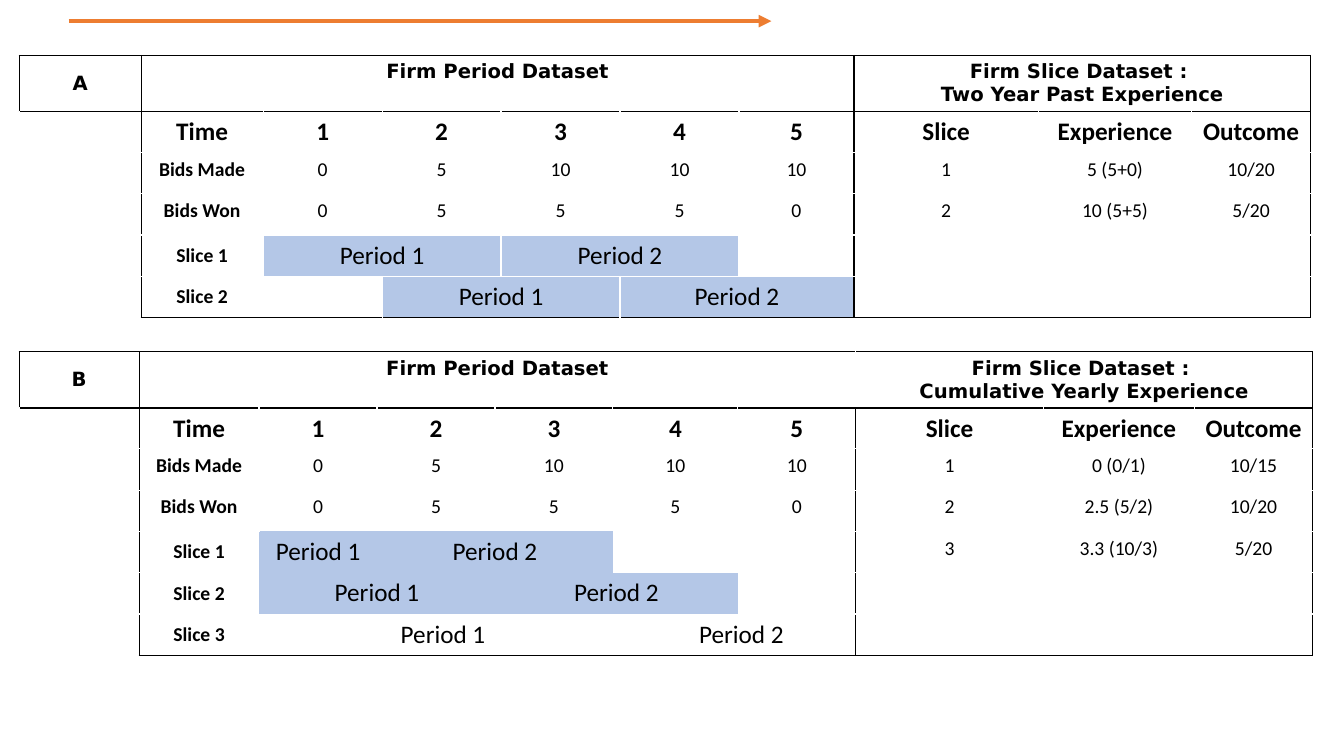
import dataclasses

import pptx
import pptx.dml.color
import pptx.enum.shapes
import pptx.enum.text
import pptx.oxml
import pptx.oxml.ns
import pptx.util
from pptx.util import Inches


@dataclasses.dataclass(frozen=True)
class Theme:
    black: str = "000000"
    white: str = "FFFFFF"
    band: str = "B4C7E7"
    arrow: str = "ED7D31"
    title_font: str = "DejaVu Sans"
    body_font: str = "Calibri"
    large: int = 18
    small: int = 14
    border: int = 1
    arrow_width: int = 3


THEME = Theme()

# Font, size and bold for each kind of cell
STYLES = {
    "title": (THEME.title_font, THEME.small, True),
    "heading": (THEME.body_font, THEME.large, True),
    "label": (THEME.body_font, THEME.small, True),
    "value": (THEME.body_font, THEME.small, False),
    "period": (THEME.body_font, THEME.large, False),
}


@dataclasses.dataclass
class Cell:
    text: str = ""
    style: str = "value"
    span: int = 1
    shaded: bool = False
    middle: bool = False


@dataclasses.dataclass
class Panel:
    top: float
    height: float
    columns: list
    split: int  # first column of the slice dataset
    rows: list
    open_seam: bool = False  # no black line between the two titles
    plain_periods: bool = False  # no inner lines around the periods


# Rows of cells
def title_row(letter, firm_span, experience):
    return [Cell(letter, "title", middle=True),
            Cell("Firm Period Dataset", "title", firm_span),
            Cell("Firm Slice Dataset : \n" + experience, "title", 3)]


def value_row(label, firm, slices, spans, style="value"):
    label_style = "heading" if style == "heading" else "label"
    return ([Cell(), Cell(label, label_style)]
            + [Cell(text, style, span) for text, span in zip(firm, spans)]
            + [Cell(text, style) for text in slices])


def period_row(label, periods, slices=("", "", "")):
    return ([Cell(), Cell(label, "label", middle=True)]
            + [Cell(text, "period", span, shaded) for text, span, shaded in periods]
            + [Cell(text) for text in slices])


def common_rows(spans, first_slice, second_slice):
    return [
        value_row("Time", "12345", ("Slice", "Experience", "Outcome"), spans, "heading"),
        value_row("Bids Made", ("0", "5", "10", "10", "10"), first_slice, spans),
        value_row("Bids Won", ("0", "5", "5", "5", "0"), second_slice, spans),
    ]


# Borders
def cell_edges(panel, item, row, first):
    """Colours of the left, right, top and bottom edges; None hides an edge."""
    last = first + item.span - 1
    black = THEME.black
    inner = None if panel.plain_periods and item.style == "period" else THEME.white
    if row == 0:
        seam = THEME.white if panel.open_seam else black
        return {"L": seam if first == panel.split else black,
                "R": seam if last == panel.split - 1 else black,
                "T": black, "B": black}
    in_block = first > 0
    is_left = first in (1, panel.split)
    is_right = last in (0, panel.split - 1, len(panel.columns) - 1)
    is_bottom = in_block and row == len(panel.rows) - 1
    return {"L": black if is_left else inner,
            "R": black if is_right else inner,
            "T": black if row == 1 else inner,
            "B": black if is_bottom else inner}


def set_borders(cell, edges):
    properties = cell._tc.get_or_add_tcPr()
    for side, color in edges.items():
        line = pptx.oxml.parse_xml(
            f'<a:ln{side} {pptx.oxml.ns.nsdecls("a")} w="{pptx.util.Pt(THEME.border)}"/>')
        fill = pptx.oxml.parse_xml(
            f'<a:noFill {pptx.oxml.ns.nsdecls("a")}/>' if color is None else
            f'<a:solidFill {pptx.oxml.ns.nsdecls("a")}><a:srgbClr val="{color}"/></a:solidFill>')
        line.append(fill)
        properties.append(line)


def set_fill(cell, shaded):
    if shaded:
        cell.fill.solid()
        cell.fill.fore_color.rgb = pptx.dml.color.RGBColor.from_string(THEME.band)
    else:
        cell.fill.background()


def write_text(cell, item):
    font_name, size, bold = STYLES[item.style]
    cell.text_frame.text = item.text
    anchors = pptx.enum.text.MSO_ANCHOR
    cell.vertical_anchor = anchors.MIDDLE if item.middle else anchors.TOP
    for paragraph in cell.text_frame.paragraphs:
        paragraph.alignment = pptx.enum.text.PP_ALIGN.CENTER
        for run in paragraph.runs:
            run.font.name = font_name
            run.font.size = pptx.util.Pt(size)
            run.font.bold = bold
            run.font.color.rgb = pptx.dml.color.RGBColor.from_string(THEME.black)


# Slide elements
def add_panel(slide, panel):
    frame = slide.shapes.add_table(
        len(panel.rows), len(panel.columns),
        Inches(0.19), Inches(panel.top), Inches(12.82), Inches(panel.height))
    table = frame.table
    table.first_row = False
    table.horz_banding = False
    for column, width in zip(table.columns, panel.columns):
        column.width = Inches(width)
    for row, items in enumerate(panel.rows):
        table.rows[row].height = Inches(0.26 if row < 2 else 0.41)
        first = 0
        for item in items:
            edges = cell_edges(panel, item, row, first)
            last = first + item.span - 1
            for column in range(first, last + 1):
                set_borders(table.cell(row, column), edges)
                set_fill(table.cell(row, column), item.shaded)
            cell = table.cell(row, first)
            if item.span > 1:
                cell.merge(table.cell(row, last))
            write_text(cell, item)
            first = last + 1
    frame.height = Inches(panel.height)


def add_time_arrow(slide):
    arrow = slide.shapes.add_connector(
        pptx.enum.shapes.MSO_CONNECTOR.STRAIGHT,
        Inches(0.68), Inches(0.21), Inches(7.65), Inches(0.21))
    arrow.line.color.rgb = pptx.dml.color.RGBColor.from_string(THEME.arrow)
    arrow.line.width = pptx.util.Pt(THEME.arrow_width)
    namespace = pptx.oxml.ns.nsdecls("a")
    arrow.line._get_or_add_ln().append(
        pptx.oxml.parse_xml(f'<a:tailEnd {namespace} type="triangle"/>'))
    arrow._element.spPr.append(pptx.oxml.parse_xml(f"<a:effectLst {namespace}/>"))


def main():
    presentation = pptx.Presentation()
    presentation.slide_width = Inches(13.33)
    presentation.slide_height = Inches(7.5)
    slide = presentation.slides.add_slide(presentation.slide_layouts[6])

    # Panel A: two-year experience
    add_panel(slide, Panel(
        0.55, 2.59, [1.21, 1.21] + [1.18] * 4 + [1.14, 1.83, 1.52, 1.18], 7,
        [title_row("A", 6, "Two Year Past Experience"),
         *common_rows((1, 1, 1, 1, 1), ("1", "5 (5+0)", "10/20"), ("2", "10 (5+5)", "5/20")),
         period_row("Slice 1", [("Period 1", 2, True), ("Period 2", 2, True), ("", 1, False)]),
         period_row("Slice 2", [("", 1, False), ("Period 1", 2, True), ("Period 2", 2, True)])]))

    add_time_arrow(slide)

    # Panel B: cumulative experience
    add_panel(slide, Panel(
        3.49, 2.99, [1.19, 1.19] + [1.17] * 3 + [0.14, 1.1, 1.17, 1.86, 1.5, 1.17], 8,
        [title_row("B", 7, "Cumulative Yearly Experience"),
         *common_rows((1, 1, 1, 2, 1), ("1", "0 (0/1)", "10/15"), ("2", "2.5 (5/2)", "10/20")),
         period_row("Slice 1", [("Period 1", 1, True), ("Period 2", 2, True),
                                ("", 2, False), ("", 1, False)], ("3", "3.3 (10/3)", "5/20")),
         period_row("Slice 2", [("Period 1", 2, True), ("Period 2", 3, True), ("", 1, False)]),
         period_row("Slice 3", [("Period 1", 4, False), ("Period 2", 2, False)])],
        open_seam=True, plain_periods=True))

    presentation.save("out.pptx")


if __name__ == "__main__":
    main()
